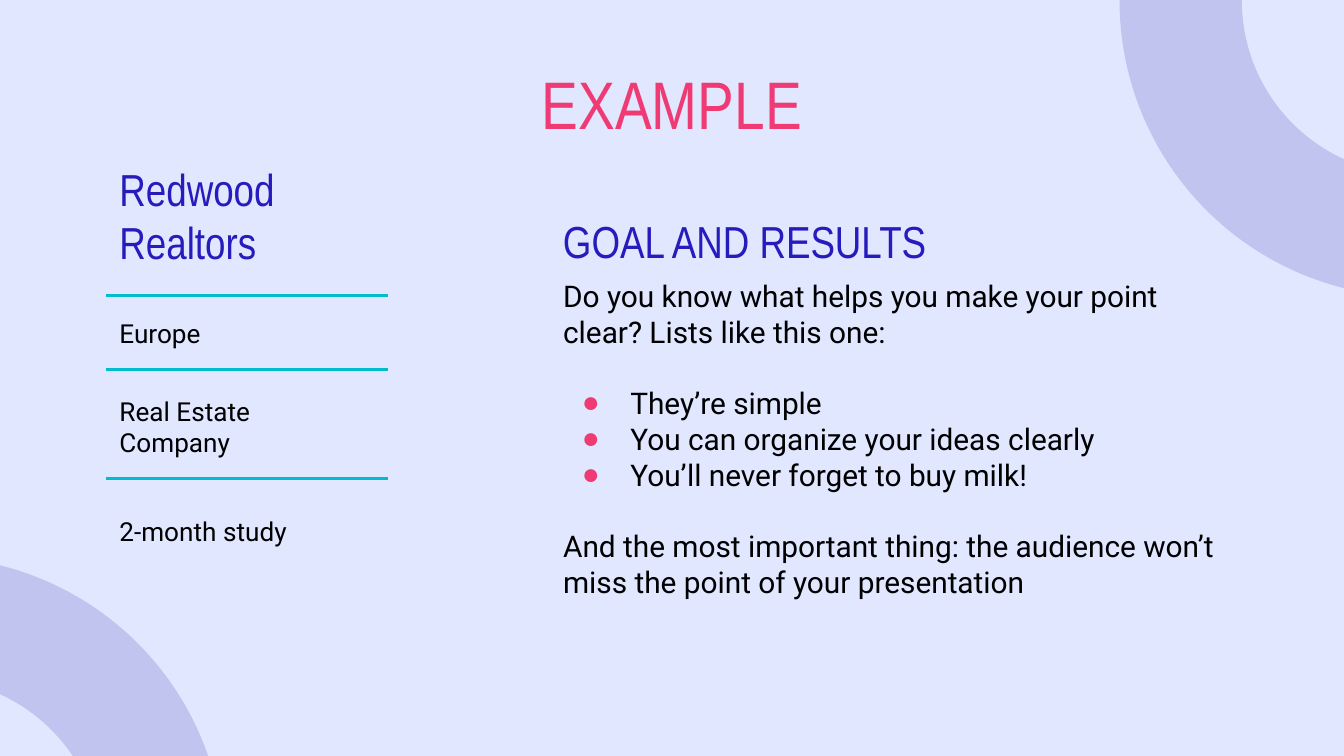
from lxml import etree
from pptx import Presentation
from pptx.dml.color import RGBColor
from pptx.enum.shapes import MSO_CONNECTOR, MSO_SHAPE
from pptx.enum.text import MSO_ANCHOR, MSO_AUTO_SIZE, PP_ALIGN
from pptx.oxml.ns import qn
from pptx.util import Pt

EMU_PER_PX = 4572
STRAIGHT = MSO_CONNECTOR.STRAIGHT
DONUT = MSO_SHAPE.DONUT
TOP, MIDDLE, BOTTOM = MSO_ANCHOR.TOP, MSO_ANCHOR.MIDDLE, MSO_ANCHOR.BOTTOM
LEFT, CENTER = PP_ALIGN.LEFT, PP_ALIGN.CENTER
NO_AUTOFIT = MSO_AUTO_SIZE.NONE
HEADING, BODY, BULLET = "Arial Narrow", "Roboto", "Arial"
LEFT_X, RIGHT_X, LABEL_HEIGHT = 158, 818, 126
COLORS = {
    "background": "E0E7FF",
    "ring": "1B129C",
    "heading": "261BBD",
    "accent": "F03A73",
    "rule": "00BCCC",
    "text": "000000",
}


def px(n):
    """Turn whole pixels into EMU."""
    return n * EMU_PER_PX


def rgb(name):
    """Look up a palette colour."""
    return RGBColor.from_string(COLORS[name])


def add_ring(slide, x, y, size=882, band=182):
    """Add a translucent decorative ring."""
    sp = slide.shapes.add_shape(DONUT, px(x), px(y), px(size), px(size))
    sp.shadow.inherit = False
    sp.adjustments[0] = band / size
    sp.fill.solid()
    sp.fill.fore_color.rgb = rgb("ring")
    sp.line.fill.background()
    color = sp._element.spPr.find(qn("a:solidFill"))[0]
    etree.SubElement(color, qn("a:alpha"), val="16000")


def add_rule(slide, y, width=420):
    """Add a horizontal divider."""
    line = slide.shapes.add_connector(
        STRAIGHT, px(LEFT_X), px(y), px(LEFT_X + width), px(y))
    line.line.color.rgb = rgb("rule")
    line.line.width = Pt(1.5)
    etree.SubElement(line._element.spPr, qn("a:effectLst"))


def set_bullet(p, marker=None):
    """Give a paragraph a coloured bullet, or none."""
    pPr = p._p.get_or_add_pPr()
    pPr.set("marL", str(px(100) if marker else 0))
    pPr.set("indent", str(px(-72) if marker else 0))
    if marker is None:
        etree.SubElement(pPr, qn("a:buNone"))
        return
    color = etree.SubElement(pPr, qn("a:buClr"))
    etree.SubElement(color, qn("a:srgbClr"), val=COLORS["accent"])
    etree.SubElement(pPr, qn("a:buFont"), typeface=BULLET)
    etree.SubElement(pPr, qn("a:buChar"), char=marker)


def style_paragraph(p, font, size, color, align=LEFT):
    """Format a paragraph and its runs."""
    p.alignment = align
    for r in p.runs:
        r.font.name = font
        r.font.size = Pt(size)
        r.font.color.rgb = rgb(color)


def place(sp, box, anchor):
    """Position a text shape and set its frame."""
    sp.left, sp.top, sp.width, sp.height = map(px, box)
    tf = sp.text_frame
    tf.word_wrap = True
    tf.auto_size = NO_AUTOFIT
    tf.vertical_anchor = anchor
    tf.margin_left = tf.margin_right = tf.margin_top = tf.margin_bottom = px(20)
    return tf


def add_label(slide, text, x, y, width, font, size, color, anchor=MIDDLE):
    """Add a one-paragraph text box."""
    sp = slide.shapes.add_textbox(0, 0, 0, 0)
    tf = place(sp, (x, y, width, LABEL_HEIGHT), anchor)
    tf.text = text
    style_paragraph(tf.paragraphs[0], font, size, color)


def fill_title(slide, text):
    """Fill the title placeholder."""
    tf = place(slide.shapes.title, (404, 73, 1192, 172), TOP)
    tf.text = text
    style_paragraph(tf.paragraphs[0], HEADING, 36, "accent", CENTER)


def fill_body(slide, intro, items, closing):
    """Fill the body placeholder with a list between two statements."""
    tf = place(slide.placeholders[1], (RIGHT_X, 393, 1022, 530), TOP)
    tf.text = "\n".join([intro, *items, closing])
    last = len(items) + 1
    for i, p in enumerate(tf.paragraphs):
        p.space_before = Pt(19 if i in (1, last) else 0)
        set_bullet(p, "●" if 0 < i < last else None)
        style_paragraph(p, BODY, 16, "text")


def main():
    """Build the example slide."""
    prs = Presentation()
    prs.slide_width, prs.slide_height = px(2000), px(1125)
    slide = prs.slides.add_slide(prs.slide_layouts[1])
    slide.background.fill.solid()
    slide.background.fill.fore_color.rgb = rgb("background")

    for x, y in ((1666, -440), (-548, 828)):
        add_ring(slide, x, y)

    fill_title(slide, "EXAMPLE")
    add_label(slide, "Redwood Realtors", LEFT_X, 257, 324, HEADING, 24, "heading")
    facts = (("Europe", 433, 454), ("Real Estate Company", 572, 292),
             ("2-month study", 728, 292))
    for text, y, width in facts:
        add_label(slide, text, LEFT_X, y, width, BODY, 14, "text")
    for y in (440, 550, 712):
        add_rule(slide, y)

    add_label(slide, "GOAL AND RESULTS", RIGHT_X, 292, 698, HEADING, 24,
              "heading", BOTTOM)
    fill_body(
        slide,
        "Do you know what helps you make your point clear? Lists like this one:",
        ["They’re simple", "You can organize your ideas clearly",
         "You’ll never forget to buy milk!"],
        "And the most important thing: the audience won’t miss the point of "
        "your presentation",
    )
    prs.save("out.pptx")


if __name__ == "__main__":
    main()
